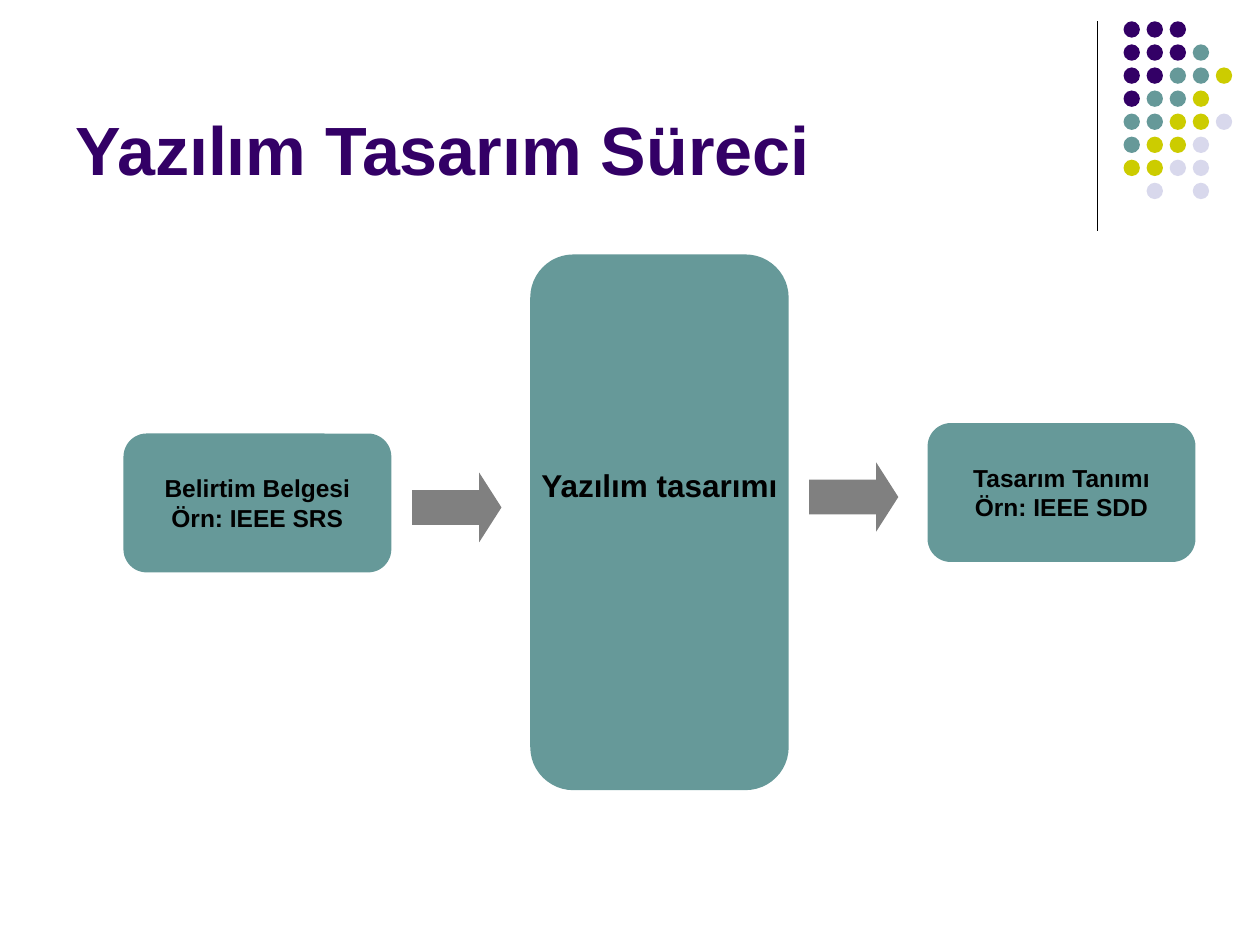
"""Build the software design process slide."""
import dataclasses

import pptx
import pptx.dml.color
import pptx.enum.shapes
import pptx.enum.text
import pptx.oxml
import pptx.oxml.ns
import pptx.util
from pptx.util import Cm

KIND = pptx.enum.shapes.MSO_SHAPE
ANCHOR = pptx.enum.text.MSO_ANCHOR
ALIGN = pptx.enum.text.PP_ALIGN

HUES = {
    "ink": "000000",
    "plum": "330066",
    "teal": "669999",
    "lime": "CCCC00",
    "mist": "D8D8EC",
    "gray": "808080",
}
DOTS = ("ppp", "pppt", "ppttl", "pttl", "ttllm", "tllm", "llmm", " m m")
CODES = {"p": "plum", "t": "teal", "l": "lime", "m": "mist"}
PITCH = 0.465


@dataclasses.dataclass
class Item:
    """Describe a filled shape, with lengths in centimetres."""

    kind: int
    left: float
    top: float
    width: float
    height: float
    hue: str
    adjust: tuple[float, ...] = ()
    lines: tuple[str, ...] = ()
    size: int = 14
    base: float = 0.13


ROUND = (0.167,)
POINT = (0.5, 0.32)
ITEMS = (
    Item(KIND.ROUNDED_RECTANGLE, 2.49, 8.74, 5.4, 2.8, "teal", ROUND,
         ("Belirtim Belgesi", "Örn: IEEE SRS")),
    Item(KIND.ROUNDED_RECTANGLE, 18.7, 8.53, 5.4, 2.8, "teal", ROUND,
         ("Tasarım Tanımı", "Örn: IEEE SDD")),
    Item(KIND.ROUNDED_RECTANGLE, 10.69, 5.13, 5.21, 10.8, "teal", ROUND,
         ("Yazılım tasarımı",), 18, 1.63),
    Item(KIND.RIGHT_ARROW, 8.31, 9.53, 1.8, 1.4, "gray", POINT),
    Item(KIND.RIGHT_ARROW, 16.31, 9.32, 1.8, 1.4, "gray", POINT),
)


def color(name: str) -> pptx.dml.color.RGBColor:
    """Return a named colour."""
    return pptx.dml.color.RGBColor.from_string(HUES[name])


def write(frame, lines: tuple[str, ...], size: int, hue: str, align) -> None:
    """Fill a text frame with bold paragraphs."""
    frame.text = "\n".join(lines)
    for para in frame.paragraphs:
        para.alignment = align
        para.font.name = "Arial"
        para.font.size = pptx.util.Pt(size)
        para.font.bold = True
        para.font.color.rgb = color(hue)


def draw(slide, item: Item) -> None:
    """Draw a filled shape and its text."""
    shape = slide.shapes.add_shape(
        item.kind, Cm(item.left), Cm(item.top), Cm(item.width), Cm(item.height))
    shape.shadow.inherit = False
    shape.fill.solid()
    shape.fill.fore_color.rgb = color(item.hue)
    shape.line.fill.background()
    for spot, value in enumerate(item.adjust):
        shape.adjustments[spot] = value
    if item.lines:
        frame = shape.text_frame
        frame.word_wrap = False
        frame.vertical_anchor = ANCHOR.MIDDLE
        frame.margin_bottom = Cm(item.base)
        write(frame, item.lines, item.size, "ink", ALIGN.CENTER)


def rule(slide) -> None:
    """Draw the upright line beside the dots."""
    line = slide.shapes.add_connector(
        pptx.enum.shapes.MSO_CONNECTOR.STRAIGHT,
        Cm(22.12), Cm(0.43), Cm(22.12), Cm(4.65))
    line.line.color.rgb = color("ink")
    line.line.width = pptx.util.Pt(0.75)
    props = line._element.spPr
    props.append(pptx.oxml.xmlchemy.OxmlElement("a:effectLst"))


def title(slide) -> None:
    """Add the slide title."""
    box = slide.shapes.add_textbox(Cm(1.27), Cm(0.33), Cm(20.95), Cm(3.6))
    box.text_frame.word_wrap = True
    box.text_frame.vertical_anchor = ANCHOR.BOTTOM
    write(box.text_frame, ("Yazılım Tasarım Süreci",), 39, "plum", ALIGN.LEFT)


def main() -> None:
    """Build and save the deck."""
    deck = pptx.Presentation()
    deck.slide_width, deck.slide_height = Cm(25.4), Cm(19.05)
    slide = deck.slides.add_slide(deck.slide_layouts[6])
    rule(slide)
    for row, marks in enumerate(DOTS):
        for col, mark in enumerate(marks):
            if mark in CODES:
                draw(slide, Item(KIND.OVAL, 22.65 + col * PITCH,
                                 0.43 + row * PITCH, 0.33, 0.33, CODES[mark]))
    title(slide)
    for item in ITEMS:
        draw(slide, item)
    deck.save("out.pptx")


if __name__ == "__main__":
    main()
